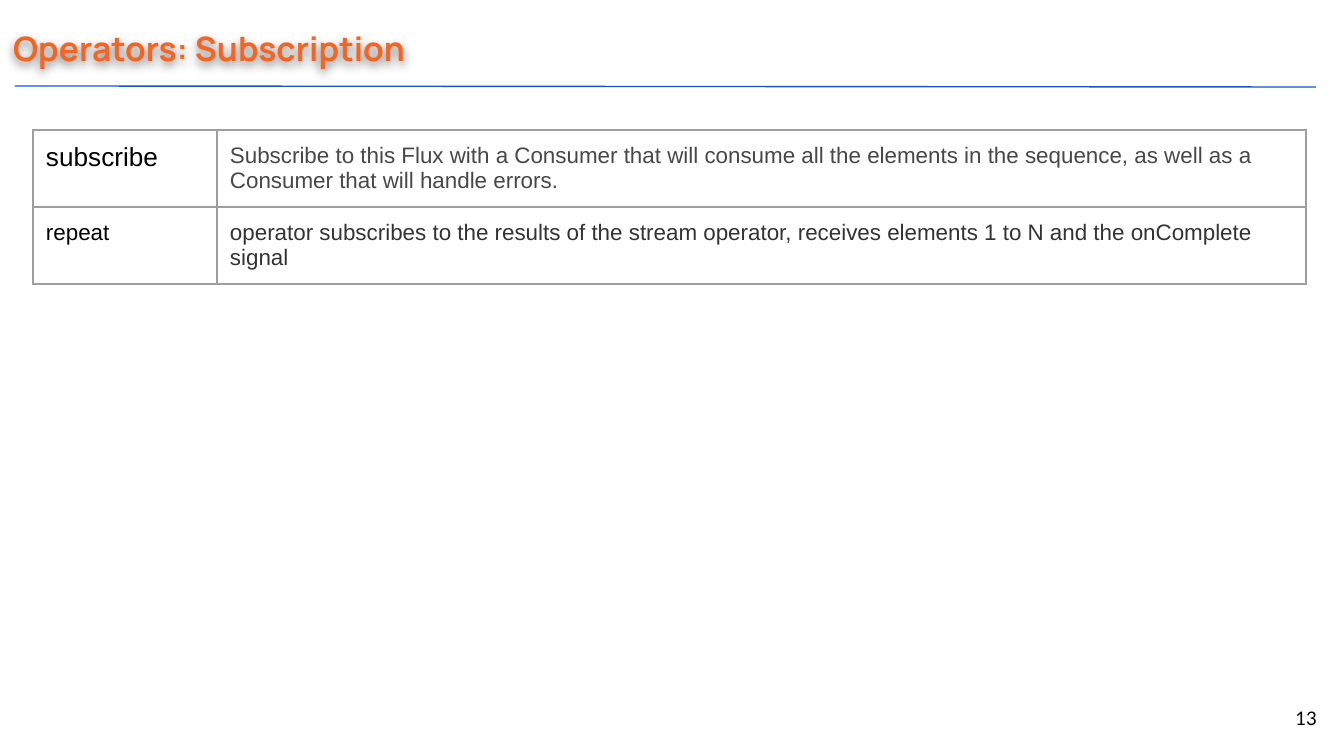
"""Build the slide on subscription operators."""
from lxml import etree
from pptx import Presentation
from pptx.dml.color import RGBColor
from pptx.enum.shapes import MSO_CONNECTOR
from pptx.enum.text import MSO_ANCHOR, MSO_AUTO_SIZE, PP_ALIGN
from pptx.oxml import parse_xml
from pptx.oxml.ns import nsdecls, qn
from pptx.util import Pt

LINE = MSO_CONNECTOR.STRAIGHT
TOP, MIDDLE = MSO_ANCHOR.TOP, MSO_ANCHOR.MIDDLE
FIXED = MSO_AUTO_SIZE.NONE
LEFT, RIGHT = PP_ALIGN.LEFT, PP_ALIGN.RIGHT

ORANGE = RGBColor(0xF4, 0x65, 0x24)
BLUE = RGBColor(0x11, 0x55, 0xCC)
BLACK = RGBColor(0, 0, 0)
GREY = RGBColor(0x47, 0x47, 0x47)
DARK = RGBColor(0x33, 0x33, 0x33)
EDGE = RGBColor(0x9E, 0x9E, 0x9E)

SCALE = 914400 / 134.4
ROWS = [
    [("subscribe", 14, BLACK),
     ("Subscribe to this Flux with a Consumer that will consume all the elements "
      "in the sequence, as well as a Consumer that will handle errors.", 12, GREY)],
    [("repeat", 12, BLACK),
     ("operator subscribes to the results of the stream operator, receives "
      "elements 1 to N and the onComplete signal", 12, DARK)],
]


def emu(px):
    return round(px * SCALE)


class Deck:
    """Holds the style and the current slide."""

    head, body, foot = "Manrope", "Arial", "Lato"
    inset, width = 13, 0.75

    def __init__(self, wide, high):
        self.file = Presentation()
        self.file.slide_width, self.file.slide_height = emu(wide), emu(high)
        self.slide = self.file.slides.add_slide(self.file.slide_layouts[5])

    def pad(self, box):
        box.margin_left = box.margin_right = emu(self.inset)
        box.margin_top = box.margin_bottom = emu(self.inset)

    def add_run(self, frame, text, size, color, font, align=LEFT, bold=False):
        para = frame.paragraphs[0]
        para.alignment = align
        run = para.add_run()
        run.text = text
        run.font.size, run.font.name, run.font.bold = Pt(size), font, bold
        run.font.color.rgb = color

    def frame(self, shape, anchor):
        frame = shape.text_frame
        frame.word_wrap, frame.auto_size = True, FIXED
        frame.vertical_anchor = anchor
        self.pad(frame)
        return frame

    def title(self, text, x, y, w, h):
        shape = self.slide.shapes.title
        shape.left, shape.top, shape.width, shape.height = map(emu, (x, y, w, h))
        self.add_run(self.frame(shape, TOP), text, 18, ORANGE, self.head, bold=True)
        shape._element.spPr.append(parse_xml(
            f'<a:effectLst {nsdecls("a")}><a:outerShdw blurRad="57150" dist="19050" '
            'dir="5400000" algn="bl" rotWithShape="0"><a:srgbClr val="000000">'
            '<a:alpha val="50000"/></a:srgbClr></a:outerShdw></a:effectLst>'))

    def text(self, text, x, y, w, h):
        shape = self.slide.shapes.add_textbox(*map(emu, (x, y, w, h)))
        self.add_run(self.frame(shape, MIDDLE), text, 10, BLACK, self.foot, RIGHT)

    def rule(self, *ends):
        line = self.slide.shapes.add_connector(LINE, *map(emu, ends))
        line.line.color.rgb, line.line.width = BLUE, Pt(self.width)
        etree.SubElement(line._element.spPr, qn("a:effectLst"))

    def border(self, cell):
        props = cell._tc.get_or_add_tcPr()
        for spot, side in enumerate("LRTB"):
            props.insert(spot, parse_xml(
                f'<a:ln{side} {nsdecls("a")} w="{Pt(self.width)}"><a:solidFill>'
                f'<a:srgbClr val="{EDGE}"/></a:solidFill></a:ln{side}>'))

    def table(self, rows, x, y, cols, high):
        size = map(emu, (x, y, sum(cols), high * len(rows)))
        table = self.slide.shapes.add_table(len(rows), len(cols), *size).table
        table.first_row = table.horz_banding = False
        for col, wide in zip(table.columns, cols):
            col.width = emu(wide)
        for row, items in zip(table.rows, rows):
            row.height = emu(high)
            for cell, (text, size, color) in zip(row.cells, items):
                cell.fill.background()
                self.pad(cell)
                self.border(cell)
                self.add_run(cell.text_frame, text, size, color, self.body)


def main():
    deck = Deck(1344, 756)
    deck.title("Operators: Subscription", 0, 15, 1339, 77)
    deck.rule(15, 86, 1316, 87)
    deck.table(ROWS, 33, 130, (184, 1089), 77)
    deck.text("13", 1249, 689, 81, 58)
    deck.file.save("out.pptx")


if __name__ == "__main__":
    main()
